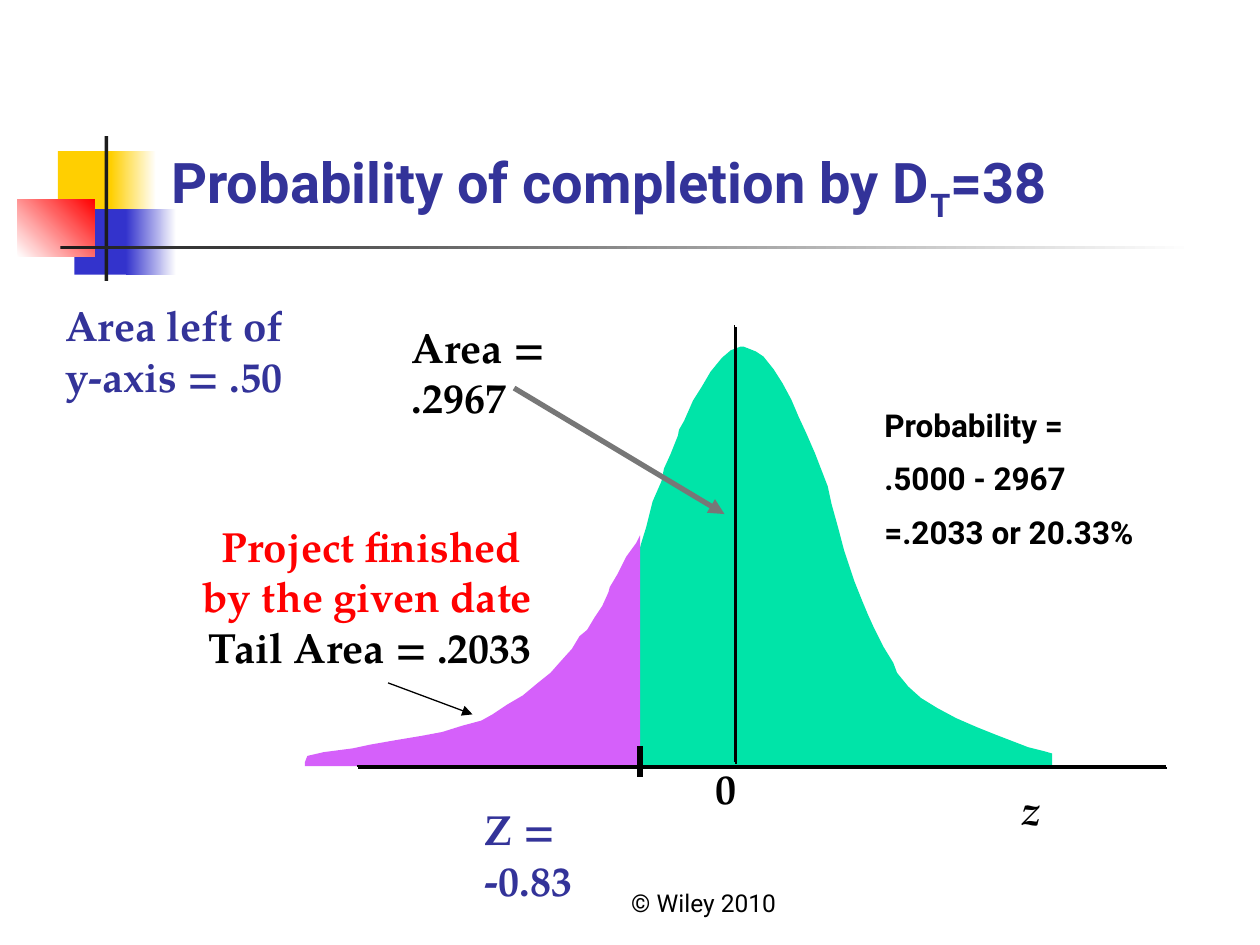
from lxml.etree import SubElement
from pptx import Presentation
from pptx.dml.color import RGBColor
from pptx.enum.shapes import MSO_CONNECTOR, MSO_SHAPE
from pptx.enum.text import MSO_ANCHOR, MSO_AUTO_SIZE, PP_ALIGN
from pptx.oxml.ns import qn
from pptx.util import Inches, Pt

COLORS = {
    "yellow": "FFCF01", "blue": "3333CC", "red": "FF0000", "white": "FFFFFF",
    "charcoal": "1C1C1C", "navy": "333399", "black": "000000", "gray": "777777",
    "green": "00E4A8", "purple": "D560FA",
}
SANS, SERIF = "Roboto", "TeX Gyre Pagella"


def add_text(left, top, width, height, lines, font_name, size, bold=True, align=PP_ALIGN.LEFT):
    box = slide.shapes.add_textbox(Inches(left), Inches(top), Inches(width), Inches(height))
    frame = box.text_frame
    frame.word_wrap = True
    frame.text = "\n".join(text for text, color in lines)
    for paragraph, (text, color) in zip(frame.paragraphs, lines):
        paragraph.alignment = align
        font = paragraph.runs[0].font
        font.name, font.size, font.bold = font_name, Pt(size), bold
        font.color.rgb = RGBColor.from_string(COLORS[color])
    return box


def add_line(start, end, color, width, arrow=False, shadow=False):
    line = slide.shapes.add_connector(
        MSO_CONNECTOR.STRAIGHT, *(Inches(value) for value in start + end))
    line.line.color.rgb = RGBColor.from_string(COLORS[color])
    line.line.width = Pt(width)
    if arrow:
        SubElement(line.line._get_or_add_ln(), qn("a:tailEnd"), type="triangle")
    effects = SubElement(line._element.spPr, qn("a:effectLst"))
    if shadow:
        outer = SubElement(effects, qn("a:outerShdw"), dist=str(Pt(1.4)), dir="2700000")
        SubElement(outer, qn("a:srgbClr"), val=COLORS["black"])


presentation = Presentation()
presentation.slide_width, presentation.slide_height = Inches(10), Inches(7.5)
slide = presentation.slides.add_slide(presentation.slide_layouts[5])

decorations = [
    (0.46, 1.2, 0.48, 0.52, ["yellow"], 0),
    (0.88, 1.2, 0.36, 0.52, ["yellow", "white"], 0),
    (0.59, 1.66, 0.46, 0.52, ["blue"], 0),
    (1, 1.66, 0.4, 0.52, ["blue", "white"], 0),
    (0.14, 1.58, 0.61, 0.46, ["white", "red"], 45),
    (0.83, 1.08, 0.03, 1.15, ["charcoal"], 0),
    (0.48, 1.95, 9, 0.03, ["charcoal", "white"], 0),
]
for left, top, width, height, colors, angle in decorations:
    shape = slide.shapes.add_shape(
        MSO_SHAPE.RECTANGLE, Inches(left), Inches(top), Inches(width), Inches(height))
    shape.shadow.inherit = False
    shape.line.fill.background()
    if len(colors) == 1:
        shape.fill.solid()
        shape.fill.fore_color.rgb = RGBColor.from_string(COLORS[colors[0]])
    else:
        shape.fill.gradient()
        shape.fill.gradient_angle = angle
        for stop, position, color in zip(shape.fill.gradient_stops, (0, 1), colors):
            stop.position = position
            stop.color.rgb = RGBColor.from_string(COLORS[color])

title = slide.shapes.title
title.left, title.top, title.width, title.height = (
    Inches(value) for value in (1.26, 0.23, 8.52, 1.6))
title.text_frame.auto_size = MSO_AUTO_SIZE.NONE
title.text_frame.vertical_anchor = MSO_ANCHOR.BOTTOM
paragraph = title.text_frame.paragraphs[0]
paragraph.alignment = PP_ALIGN.LEFT
for text in ("Probability of completion by D", "T", "=38"):
    run = paragraph.add_run()
    run.text = text
    run.font.name, run.font.size, run.font.bold = SANS, Pt(32), True
    run.font.color.rgb = RGBColor.from_string(COLORS["navy"])
paragraph.runs[1].font._element.set("baseline", "-25000")

footer = add_text(4, 6.83, 3.17, 0.5, [("© Wiley 2010", "black")], SANS, 14, False, PP_ALIGN.CENTER)
footer.text_frame.vertical_anchor = MSO_ANCHOR.BOTTOM

bell_curve = [
    (590, 275), (600, 279), (606, 283), (614, 293), (621, 304), (628, 317), (634, 331),
    (640, 344), (647, 360), (652, 373), (657, 386), (660, 400), (665, 418), (670, 437),
    (674, 449), (678, 461), (684, 476), (689, 488), (694, 499), (701, 513), (709, 526),
    (712, 534), (721, 545), (731, 554), (744, 562), (759, 570), (775, 577), (790, 583),
    (803, 588), (816, 593), (828, 596), (835, 598), (835, 610), (342, 610), (342, 603),
    (343, 600), (357, 597), (372, 593), (388, 588), (408, 581), (422, 573), (437, 564),
    (445, 556), (455, 548), (464, 535), (472, 522), (478, 510), (485, 497), (494, 478),
    (499, 464), (505, 446), (509, 431), (513, 418), (518, 398), (525, 382), (527, 372),
    (532, 361), (538, 346), (539, 341), (543, 334), (550, 318), (557, 307), (564, 295),
    (573, 284), (580, 278), (588, 275),
]
tail_area = [
    (508, 425), (505, 431), (497, 442), (490, 456), (484, 466), (483, 470), (478, 481),
    (472, 490), (466, 500), (460, 505), (454, 515), (445, 525), (437, 534), (427, 542),
    (415, 552), (403, 559), (391, 567), (382, 572), (367, 576), (351, 581), (335, 584),
    (317, 587), (294, 591), (280, 594), (257, 597), (244, 600), (242, 605), (242, 608),
    (508, 608),
]
for points, color in ((bell_curve, "green"), (tail_area, "purple")):
    builder = slide.shapes.build_freeform(*points[0], scale=Inches(0.01))
    builder.add_line_segments(points[1:], close=True)
    area = builder.convert_to_shape()
    area.shadow.inherit = False
    area.line.fill.background()
    area.fill.solid()
    area.fill.fore_color.rgb = RGBColor.from_string(COLORS[color])

add_line((2.83, 6.08), (9.25, 6.08), "black", 1, shadow=True)
add_line((5.83, 2.58), (5.83, 6.05), "black", 1, shadow=True)

add_text(3.75, 6.33, 1.4, 0.5, [("Z = -0.83", "navy")], SERIF, 24)
axis_name = add_text(8, 6.17, 0.36, 0.5, [("z", "black")], SERIF, 24)
axis_name.text_frame.paragraphs[0].runs[0].font.italic = True
add_text(5.58, 6, 0.36, 0.5, [("0", "black")], SERIF, 24)
tail_lines = [("Project finished ", "red"), ("by the given date", "red"), ("Tail Area = .2033", "black")]
add_text(1, 4.08, 3.32, 1.31, tail_lines, SERIF, 24, align=PP_ALIGN.RIGHT)
add_text(3.17, 2.5, 1.9, 0.5, [("Area = .2967", "black")], SERIF, 24)
add_line((4.08, 3.08), (5.75, 4.08), "gray", 3, arrow=True)
add_line((5.08, 5.92), (5.08, 6.17), "black", 3)
add_text(0.42, 2.33, 2.25, 0.9, [("Area left of y-axis = .50", "navy")], SERIF, 24)
result_lines = [(text, "black") for text in ("Probability =", ".5000 - 2967", "=.2033 or 20.33%")]
result = add_text(6.92, 3.17, 2.67, 1.31, result_lines, SANS, 18)
for paragraph in result.text_frame.paragraphs[1:]:
    paragraph.space_before = Pt(9)
add_line((3.08, 5.42), (3.75, 5.67), "black", 0.75, arrow=True)

presentation.save("out.pptx")
